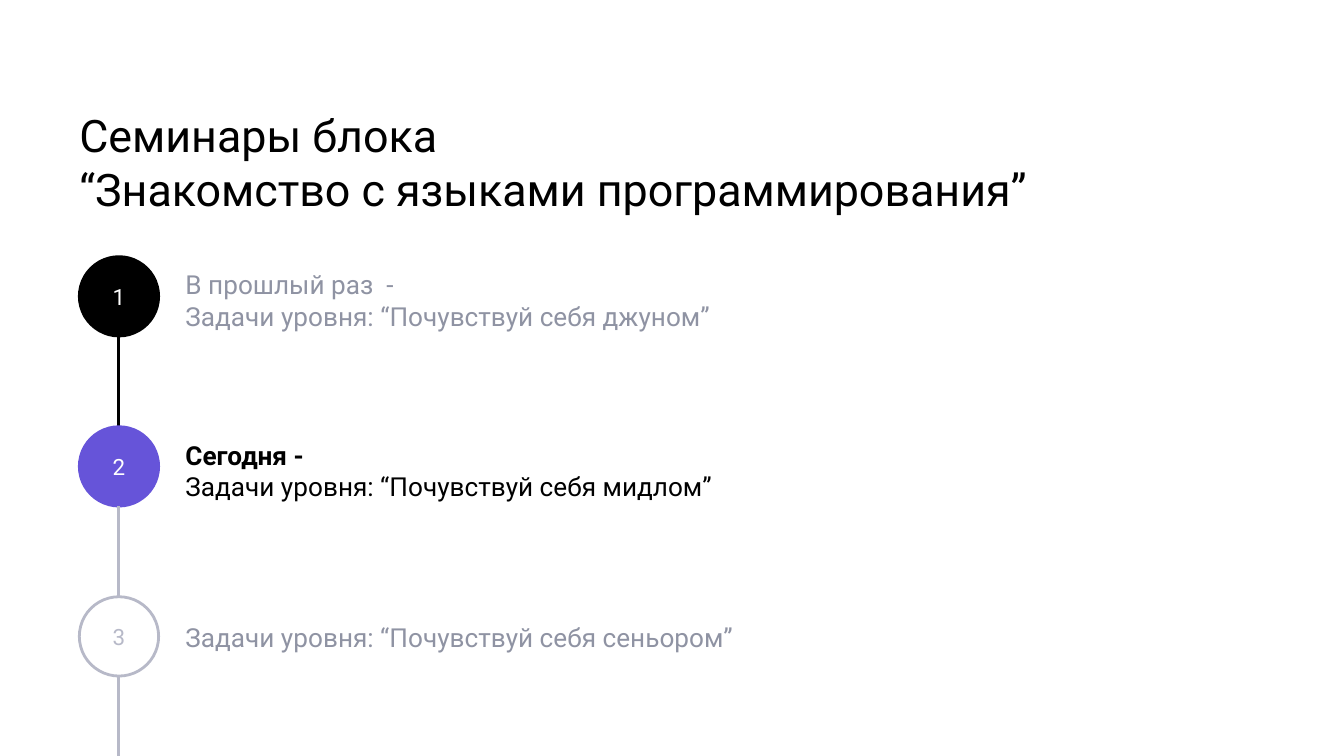
from dataclasses import dataclass

import pptx
import pptx.dml.color
import pptx.enum.shapes
import pptx.enum.text
import pptx.oxml
import pptx.oxml.ns
import pptx.util
from pptx.util import Inches

ALIGN = pptx.enum.text.PP_ALIGN
ANCHOR = pptx.enum.text.MSO_ANCHOR
BLACK, WHITE, VIOLET = "000000", "FFFFFF", "6654D9"
PALE, GREY = "B7B9C8", "8F93A3"

SLIDE_WIDTH = 10
SLIDE_HEIGHT = SLIDE_WIDTH * 9 / 16
LEFT, DIAMETER = 0.59, 0.59
AXIS = LEFT + DIAMETER / 2
FIRST_TOP, STEP_PITCH = 1.91, 1.265
LABEL_LEFT = 1.38


@dataclass
class Step:
    fill: str
    outline: str
    number_color: str
    connector_color: str
    label_top: float
    label_width: float
    label_height: float
    label_color: str
    lines: list[str]
    bold_first: bool = False


STEPS = [
    Step(BLACK, BLACK, WHITE, BLACK, 1.9, 5.79, 0.61, GREY,
         ["В прошлый раз  -", "Задачи уровня: “Почувствуй себя джуном”"]),
    Step(VIOLET, VIOLET, WHITE, PALE, 3.17, 4.86, 0.59, BLACK,
         ["Сегодня -", "Задачи уровня: “Почувствуй себя мидлом”"], True),
    Step(WHITE, PALE, PALE, PALE, 4.52, 4.93, 0.41, GREY,
         ["Задачи уровня: “Почувствуй себя сеньором”"]),
]


def color(value: str) -> pptx.dml.color.RGBColor:
    return pptx.dml.color.RGBColor.from_string(value)


def write_text(shape, lines: list[str], *, size: float, ink: str,
               align=ALIGN.LEFT, anchor=ANCHOR.TOP, bold_first: bool = False,
               insets: tuple = (0, 0.1, 0.1, 0.1)) -> None:
    """Fill a shape with one paragraph per line; insets run left, top, right, bottom."""
    frame = shape.text_frame
    frame.word_wrap = True
    frame.auto_size = pptx.enum.text.MSO_AUTO_SIZE.NONE
    frame.vertical_anchor = anchor
    (frame.margin_left, frame.margin_top,
     frame.margin_right, frame.margin_bottom) = map(Inches, insets)
    for index, line in enumerate(lines):
        para = frame.paragraphs[0] if index == 0 else frame.add_paragraph()
        para.alignment = align
        span = para.add_run()
        span.text = line
        span.font.name = "Roboto"
        span.font.size = pptx.util.Pt(size)
        span.font.bold = bold_first and index == 0
        span.font.color.rgb = color(ink)


def draw_circle(page, top: float, number: int, step: Step) -> None:
    circle = page.shapes.add_shape(
        pptx.enum.shapes.MSO_SHAPE.OVAL,
        Inches(LEFT), Inches(top), Inches(DIAMETER), Inches(DIAMETER))
    circle.shadow.inherit = False
    circle.fill.solid()
    circle.fill.fore_color.rgb = color(step.fill)
    circle.line.color.rgb = color(step.outline)
    circle.line.width = pptx.util.Pt(1.5)
    write_text(circle, [str(number)], size=12, ink=step.number_color,
               align=ALIGN.CENTER, anchor=ANCHOR.MIDDLE, insets=(0.1,) * 4)


def draw_connector(page, top: float, bottom: float, ink: str) -> None:
    line = page.shapes.add_connector(
        pptx.enum.shapes.MSO_CONNECTOR.STRAIGHT,
        Inches(AXIS), Inches(top), Inches(AXIS), Inches(bottom))
    line.line.color.rgb = color(ink)
    line.line.width = pptx.util.Pt(1.5)
    properties = line._element.spPr
    properties.append(pptx.oxml.parse_xml(
        f"<a:effectLst {pptx.oxml.ns.nsdecls('a')}/>"))


def draw_label(page, step: Step) -> None:
    box = page.shapes.add_textbox(
        Inches(LABEL_LEFT), Inches(step.label_top),
        Inches(step.label_width), Inches(step.label_height))
    write_text(box, step.lines, size=14, ink=step.label_color,
               bold_first=step.bold_first)


deck = pptx.Presentation()
deck.slide_width, deck.slide_height = Inches(SLIDE_WIDTH), Inches(SLIDE_HEIGHT)
page = deck.slides.add_slide(deck.slide_layouts[5])

# Title
title = page.shapes.title
title.left, title.top = Inches(LEFT), Inches(0.79)
title.width, title.height = Inches(8.82), Inches(0.35)
write_text(title, ["Семинары блока", "“Знакомство с языками программирования”"],
           size=24, ink=BLACK, insets=(0, 0.01, 0, 0))

# Timeline: each step has a circle, a line down to the next one, and a label
for index, step in enumerate(STEPS):
    top = FIRST_TOP + index * STEP_PITCH
    is_last = index == len(STEPS) - 1
    draw_circle(page, top, index + 1, step)
    draw_connector(page, top + DIAMETER,
                   SLIDE_HEIGHT if is_last else top + STEP_PITCH,
                   step.connector_color)
    draw_label(page, step)

deck.save("out.pptx")
